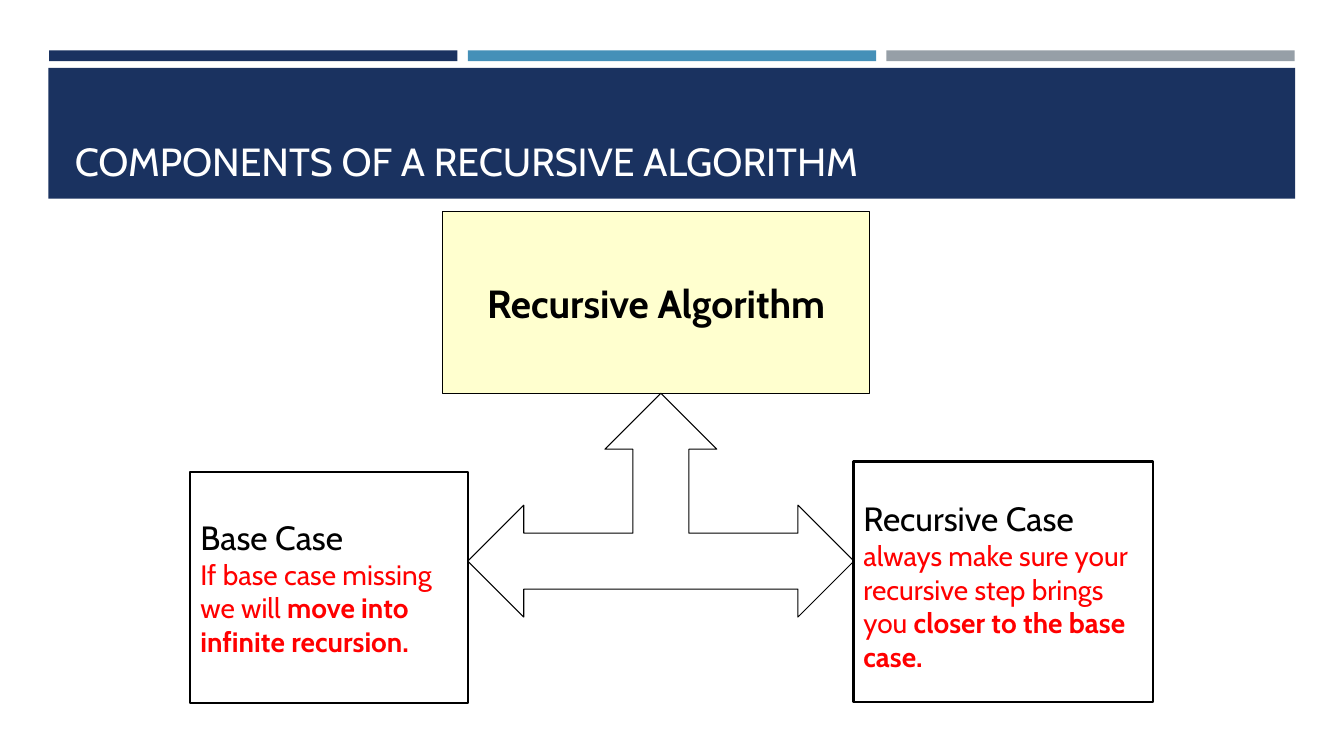
from lxml.etree import SubElement
from pptx import Presentation
from pptx.dml.color import RGBColor
from pptx.enum.shapes import MSO_SHAPE as Shape
from pptx.enum.text import MSO_ANCHOR as Anchor, MSO_AUTO_SIZE as AutoSize, PP_ALIGN as Align
from pptx.oxml.ns import qn
from pptx.util import Cm, Pt

COLORS = {
    "navy": "1A3260", "blue": "4590B8", "grey": "969FA7", "white": "FFFFFF",
    "yellow": "FFFF00", "black": "000000", "red": "FF0000",
}


class SlideBuilder:
    """Holds the text style and the slide being built."""

    def __init__(self, page, font="Cabin"):
        self.page = page
        self.font = font

    def color(self, name):
        return RGBColor.from_string(COLORS[name])

    def shape(self, kind, area, fill=None, line=None, width=0.75, alpha=None):
        box = self.page.shapes.add_shape(kind, *[Cm(value) for value in area])
        box.shadow.inherit = False
        if fill:
            box.fill.solid()
            box.fill.fore_color.rgb = self.color(fill)
        else:
            box.fill.background()
        if alpha:
            tint = box._element.spPr.find(qn("a:solidFill"))[0]
            SubElement(tint, qn("a:alpha")).set("val", str(alpha * 1000))
        if line:
            box.line.color.rgb = self.color(line)
            box.line.width = Pt(width)
        else:
            box.line.fill.background()
        return box

    def text(self, box, paragraphs, anchor=Anchor.MIDDLE, align=Align.LEFT):
        """Each paragraph is a list of (text, size, color, bold) runs."""
        frame = box.text_frame
        frame.word_wrap = True
        frame.auto_size = AutoSize.NONE
        frame.vertical_anchor = anchor
        for index, runs in enumerate(paragraphs):
            para = frame.add_paragraph() if index else frame.paragraphs[0]
            para.alignment = align
            for words, size, color, bold in runs:
                span = para.add_run()
                span.text = words
                span.font.name = self.font
                span.font.size = Pt(size)
                span.font.bold = bold
                span.font.color.rgb = self.color(color)

    def title(self, words, area):
        title = self.page.shapes.title
        title.left, title.top, title.width, title.height = [Cm(value) for value in area]
        self.text(title, [[(words, 28, "white", False)]], Anchor.BOTTOM)
        # Bring the title in front of its band
        title._element.getparent().append(title._element)

    def case(self, area, name, advice, emphasis):
        box = self.shape(Shape.RECTANGLE, area, line="black", width=1.5)
        self.text(box, [
            [(name, 24, "black", False)],
            [(advice, 20, "red", False), (emphasis, 20, "red", True)],
        ])
        return box


def main():
    deck = Presentation()
    deck.slide_width, deck.slide_height = Cm(33.87), Cm(19.05)
    builder = SlideBuilder(deck.slides.add_slide(deck.slide_layouts[5]))

    # Header bars, band and title
    for column, color in enumerate(["navy", "blue", "grey"]):
        builder.shape(Shape.RECTANGLE, (1.24 + 10.55 * column, 1.27, 10.29, 0.27), color)
    builder.shape(Shape.RECTANGLE, (1.22, 1.71, 31.42, 3.3), "navy")
    builder.title("COMPONENTS OF A RECURSIVE ALGORITHM", (1.63, 1.96, 30.63, 2.82))

    # Algorithm box and the arrow that joins the three boxes
    algorithm = builder.shape(Shape.RECTANGLE, (11.15, 5.33, 10.77, 4.58),
                              "yellow", "black", alpha=19)
    builder.text(algorithm, [[("Recursive Algorithm", 28, "black", True)]],
                 align=Align.CENTER)
    builder.shape(Shape.LEFT_RIGHT_UP_ARROW, (11.79, 9.91, 9.73, 5.64), line="black")

    # The two cases
    builder.case((4.8, 11.89, 6.99, 5.82), "Base Case",
                 "If base case missing we will ", "move into infinite recursion.")
    recursive = builder.case((21.51, 11.63, 7.54, 6.05), "Recursive Case",
                             "always make sure your recursive step brings you ",
                             "closer to the base case.")
    recursive.text_frame.margin_top = Cm(0.33)

    deck.save("out.pptx")


if __name__ == "__main__":
    main()
